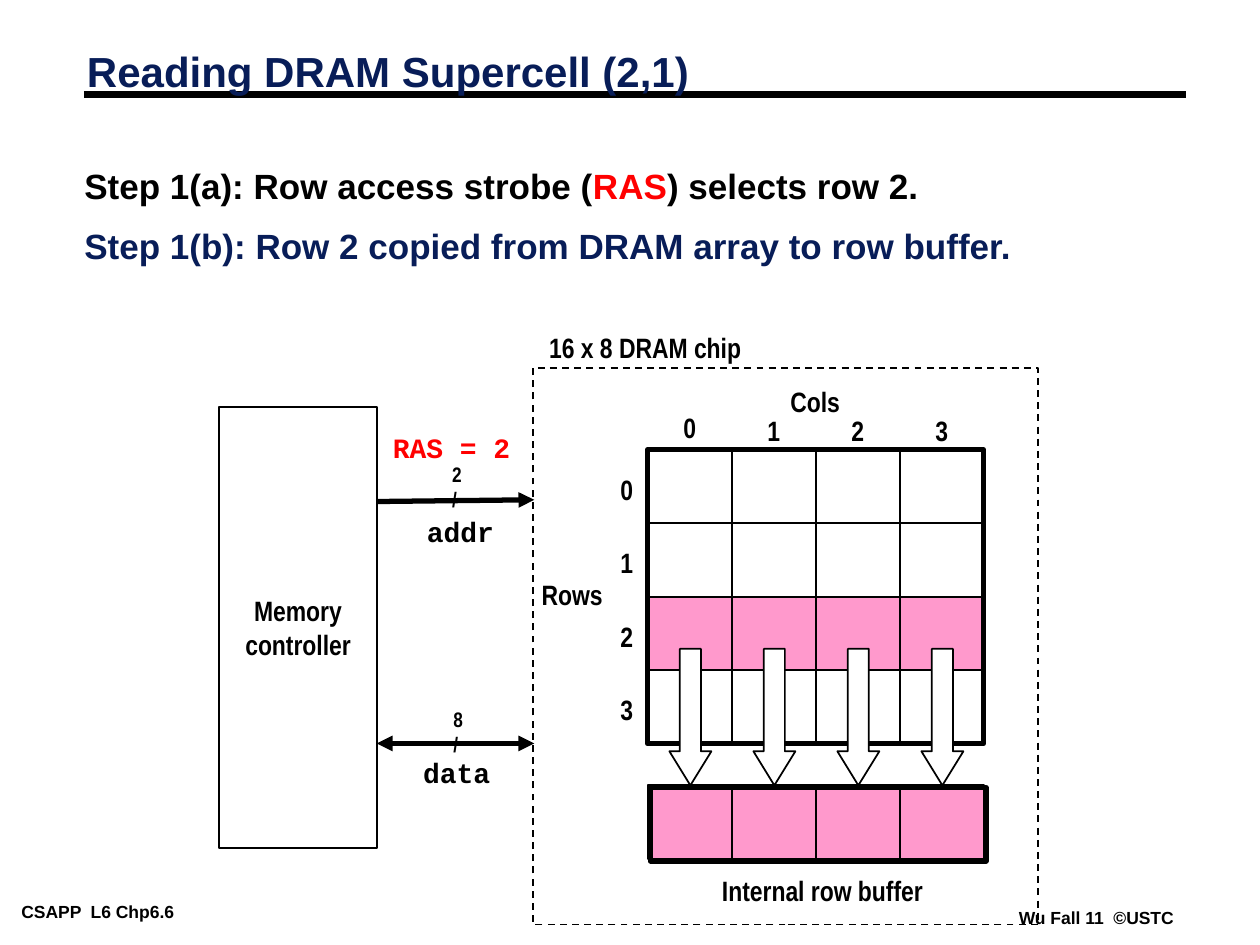
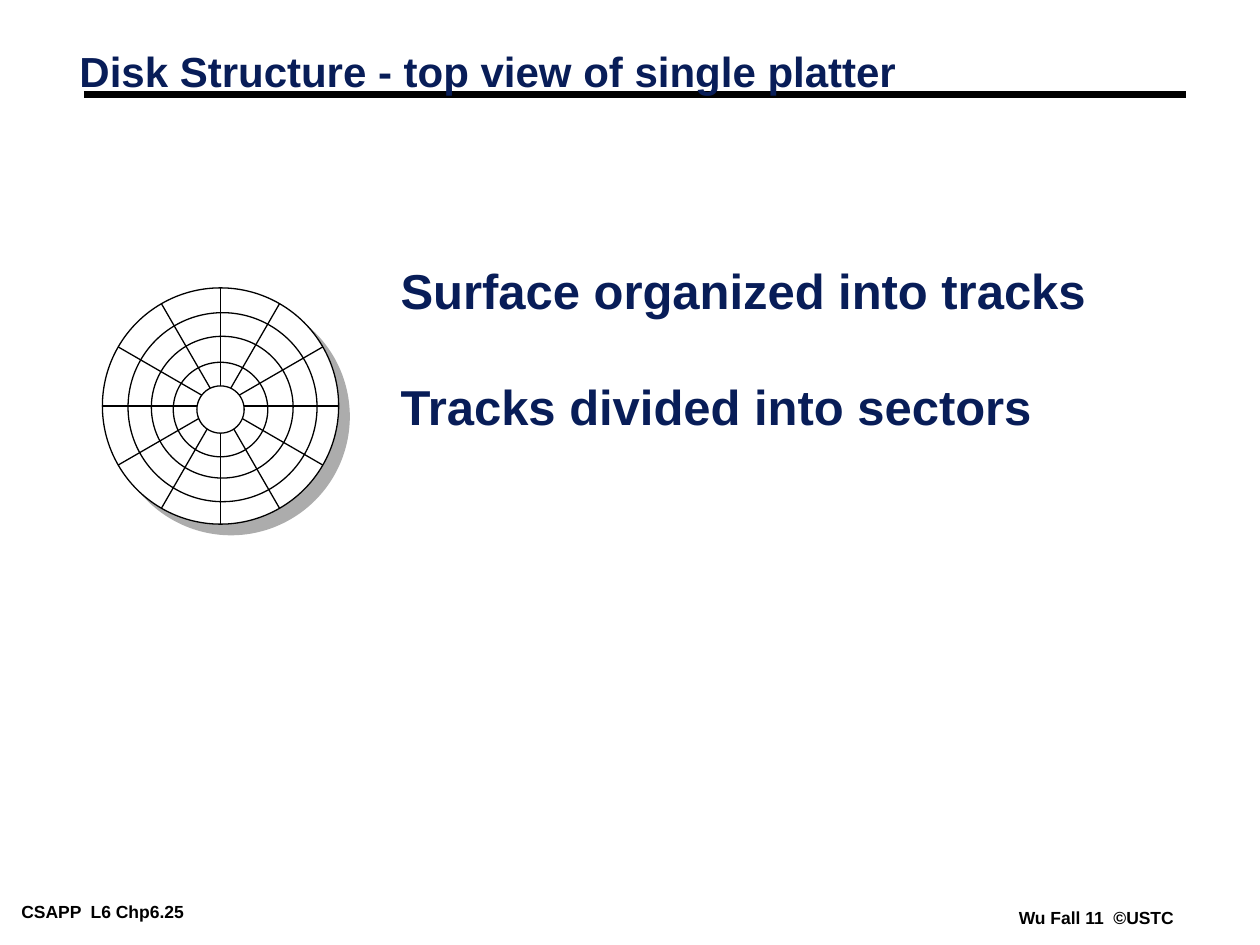
import math
from lxml import etree
from pptx import Presentation
from pptx.dml.color import RGBColor
from pptx.enum import dml, shapes as kinds, text as txt
from pptx.oxml import ns
from pptx.util import Pt

BLACK = RGBColor(0x00, 0x00, 0x00)
WHITE = RGBColor(0xFF, 0xFF, 0xFF)
NAVY = RGBColor(0x08, 0x1D, 0x58)
RED = RGBColor(0xFF, 0x00, 0x00)
PINK = RGBColor(0xFF, 0x99, 0xCC)
GREY = RGBColor(0x91, 0x91, 0x91)

SANS, NARROW, MONO = "Arial", "Arial Narrow", "Courier New"
LEFT, CENTER = txt.PP_ALIGN.LEFT, txt.PP_ALIGN.CENTER
MIDDLE = txt.MSO_ANCHOR.MIDDLE
FIT, FIXED = txt.MSO_AUTO_SIZE.SHAPE_TO_FIT_TEXT, txt.MSO_AUTO_SIZE.NONE
BOX, DISC, ARROW = (kinds.MSO_SHAPE.RECTANGLE, kinds.MSO_SHAPE.OVAL,
                    kinds.MSO_SHAPE.DOWN_ARROW)

# Memory grid: four by four cells
COUNT = 4
CELL_W, CELL_H = 48, 42
GRID_X, GRID_Y = 370.5, 257


def child(parent, tag, **attrs):
    return etree.SubElement(parent, ns.qn(tag), **attrs)


def style(para, size, color, face, align=LEFT):
    font = para.font
    font.size, font.name, font.bold = Pt(size), face, True
    font.color.rgb = color
    para.alignment = align


def place(shape, left, top, width, height):
    shape.left, shape.top = Pt(left), Pt(top)
    shape.width, shape.height = Pt(width), Pt(height)


def write(frame, words, size, color, face, align=LEFT, anchor=MIDDLE):
    frame.text = words
    frame.vertical_anchor = anchor
    for para in frame.paragraphs:
        style(para, size, color, face, align)


def label(slide, words, left, top, width, height=26.6, size=16, color=BLACK,
          face=NARROW, align=LEFT):
    box = slide.shapes.add_textbox(Pt(left), Pt(top), Pt(width), Pt(height))
    frame = box.text_frame
    write(frame, words, size, color, face, align)
    frame.word_wrap, frame.auto_size = False, FIT
    return frame


def figure(slide, kind, left, top, width, height, fill=None, weight=1):
    shape = slide.shapes.add_shape(kind, Pt(left), Pt(top), Pt(width), Pt(height))
    shape.shadow.inherit = False
    if fill is None:
        shape.fill.background()
    else:
        shape.fill.solid()
        shape.fill.fore_color.rgb = fill
    shape.line.color.rgb = BLACK
    shape.line.width = Pt(weight)
    return shape


def line(slide, x1, y1, x2, y2, weight=0.75, ends=()):
    link = slide.shapes.add_connector(
        kinds.MSO_CONNECTOR.STRAIGHT, Pt(x1), Pt(y1), Pt(x2), Pt(y2))
    link.line.color.rgb = BLACK
    link.line.width = Pt(weight)
    for end in ends:
        child(link.get_or_add_ln(), end, type="triangle")
    child(link.element.spPr, "a:effectLst")


def cells(slide, left, top, fill=None):
    for col in range(COUNT):
        figure(slide, BOX, left + col * CELL_W, top, CELL_W, CELL_H, fill)


def start(deck, layout, title, left, width, page):
    """Add a slide with the shared footers, rule and title."""
    slide = deck.slides.add_slide(deck.slide_layouts[layout])
    for words, x, y, w in ((f"CSAPP  L6 Chp6.{page}", 7.2, 513, 140.4),
                           ("Wu Fall 11  ©USTC", 577.2, 516, 99.4)):
        frame = label(slide, words, x, y, w, 15.8, 10, face=SANS)
        frame.vertical_anchor = txt.MSO_ANCHOR.TOP
        frame.margin_left = frame.margin_right = Pt(5)
        frame.margin_top = frame.margin_bottom = Pt(2)
    line(slide, 48, 54, 678, 54, 4.5)
    head = slide.shapes.title
    place(head, left, 26.4, width, 32.4)
    write(head.text_frame, title, 24, NAVY, SANS)
    head.text_frame.auto_size = FIT
    head.text_frame.paragraphs[0].line_spacing = 0.87
    # Keep the title above the rule
    head.element.getparent().append(head.element)
    return slide


def steps(slide):
    body = slide.placeholders[1]
    place(body, 41, 95.8, 643, 93.6)
    frame = body.text_frame
    frame.auto_size = FIXED
    first, second = frame.paragraphs[0], frame.add_paragraph()
    for words in ("Step 1(a): Row access strobe (", "RAS", ") selects row 2."):
        run = first.add_run()
        run.text = words
        if words == "RAS":
            run.font.color.rgb = RED
    second.text = "Step 1(b): Row 2 copied from DRAM array to row buffer."
    for para, color in ((first, BLACK), (second, NAVY)):
        style(para, 20, color, SANS)
        para.line_spacing, para.space_before = 0.75, Pt(16.2)
        # Hanging indent without a bullet
        props = para._p.get_or_add_pPr()
        props.set("marL", str(Pt(16)))
        props.set("indent", str(-Pt(16)))
        props.insert_element_before(
            etree.Element(ns.qn("a:buNone")), "a:tabLst", "a:defRPr", "a:extLst")


def chip(slide):
    frame = figure(slide, BOX, 304.5, 210.2, 288.7, 318.2)
    frame.line.dash_style = dml.MSO_LINE.DASH
    label(slide, "16 x 8 DRAM chip", 306.7, 185, 130)
    label(slide, "Cols", 444.5, 216, 48)
    label(slide, "Rows", 298.9, 326.2, 56, align=CENTER)
    label(slide, "Internal row buffer", 400, 495.4, 140, align=CENTER)

    # Array with the chosen row, then its outline
    for row in range(COUNT):
        top = GRID_Y + row * CELL_H
        cells(slide, GRID_X, top, PINK if row == 2 else WHITE)
        label(slide, str(row), 347.5, top + 9.2, 21.6)
        label(slide, str(row), 383.5 + row * CELL_W, 232.6 if row else 231.1, 21.6)
    figure(slide, BOX, 370, GRID_Y, COUNT * CELL_W, COUNT * CELL_H, weight=3)

    # Row buffer
    figure(slide, BOX, 371.5, 450, COUNT * CELL_W, CELL_H, PINK, 3)
    cells(slide, 370.2, 448.8)
    for col in range(COUNT):
        arrow = figure(slide, ARROW, 382.5 + col * CELL_W, 370.8, 24, 78, WHITE)
        arrow.adjustments[0], arrow.adjustments[1] = 0.5, 0.81


def control(slide):
    box = figure(slide, BOX, 125.2, 232.6, 90.3, 252, WHITE)
    write(box.text_frame, "Memory\ncontroller", 16, BLACK, NARROW, CENTER)
    box.text_frame.word_wrap = False

    # Address and data wires
    label(slide, "RAS = 2", 217.4, 242.3, 84, color=RED, face=MONO)
    line(slide, 215.3, 286.6, 305.3, 285.6, 3, ["a:tailEnd"])
    line(slide, 215.3, 424.8, 305.3, 424.8, 3, ["a:headEnd", "a:tailEnd"])
    label(slide, "addr", 236.9, 290.2, 56, face=MONO)
    label(slide, "data", 234.7, 428.2, 56, face=MONO)
    label(slide, "2\n/", 251.3, 259.9, 21, 36, 12)
    label(slide, "8\n/", 252, 400.3, 21, 36, 12)


def platter(slide):
    mid_x, mid_y, radius = 126, 232, 67.5
    disc = figure(slide, DISC, mid_x - radius, mid_y - radius,
                  2 * radius, 2 * radius, WHITE, 0.75)
    effects = disc.element.spPr.find(ns.qn("a:effectLst"))
    shade = child(effects, "a:outerShdw", dist=str(Pt(8.5)), dir="2700000",
                  algn="ctr", rotWithShape="0")
    tint = child(shade, "a:srgbClr", val=str(GREY))
    child(tint, "a:alpha", val="75000")

    # Sector lines, every 30 degrees
    for turn in range(0, 180, 30):
        dx = radius * math.cos(math.radians(turn))
        dy = radius * math.sin(math.radians(turn))
        line(slide, mid_x + dx, mid_y - dy, mid_x - dx, mid_y + dy)

    # Hub and tracks
    for left, top, size, fill in ((112.5, 220.5, 27, WHITE), (73.2, 178.7, 108, None),
                                  (86.5, 192.2, 81, None), (99, 207, 54, None)):
        figure(slide, DISC, left, top, size, size, fill, 0.75)


def note(slide, words, top, width):
    frame = label(slide, words, 221.8, top, width, 66.2, 28, NAVY, SANS)
    frame.word_wrap, frame.auto_size = True, FIXED
    frame.vertical_anchor = txt.MSO_ANCHOR.BOTTOM


def main():
    deck = Presentation()
    deck.slide_width, deck.slide_height = Pt(720), Pt(540)

    # Reading a supercell
    slide = start(deck, 1, "Reading DRAM Supercell (2,1)", 42.5, 597.6, 6)
    steps(slide)
    chip(slide)
    control(slide)

    # Disk platter
    slide = start(deck, 5, "Disk Structure - top view of single platter",
                  38.2, 668.2, 25)
    platter(slide)
    note(slide, "Surface organized into tracks", 120, 426)
    note(slide, "Tracks divided into sectors", 186, 450)

    deck.save("out.pptx")


if __name__ == "__main__":
    main()
